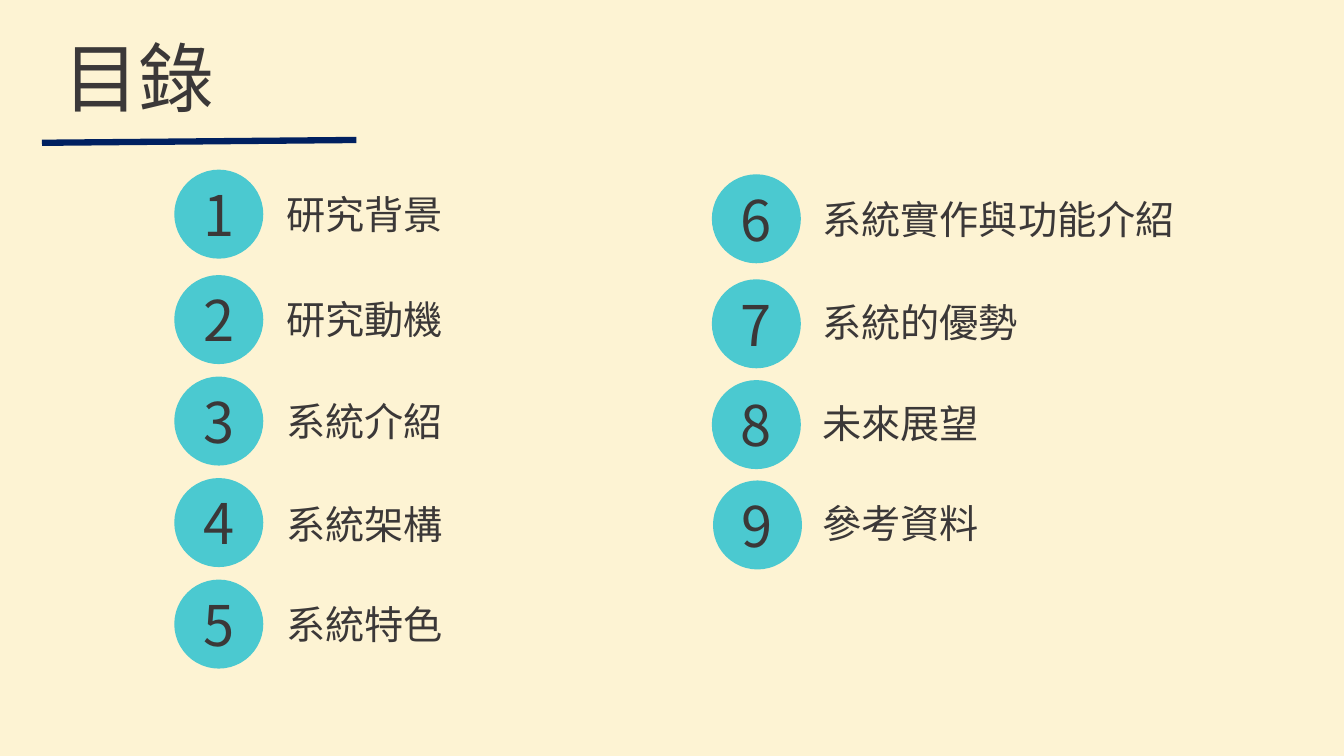
from dataclasses import dataclass

from lxml import etree
from pptx import Presentation
from pptx.dml.color import RGBColor
from pptx.enum.shapes import MSO_CONNECTOR, MSO_SHAPE
from pptx.enum.text import MSO_ANCHOR, MSO_AUTO_SIZE, PP_ALIGN
from pptx.oxml.ns import qn
from pptx.util import Pt

OVAL = MSO_SHAPE.OVAL
STRAIGHT = MSO_CONNECTOR.STRAIGHT
MIDDLE = MSO_ANCHOR.MIDDLE
GROW = MSO_AUTO_SIZE.SHAPE_TO_FIT_TEXT
CENTER = PP_ALIGN.CENTER


@dataclass(frozen=True)
class Theme:
    paper: RGBColor = RGBColor.from_string("FDF3D3")
    ink: RGBColor = RGBColor.from_string("3B3838")
    navy: RGBColor = RGBColor.from_string("002060")
    teal: RGBColor = RGBColor.from_string("4BC9D0")
    text_font: str = "Noto Sans CJK JP"
    digit_font: str = "Noto Sans CJK SC"
    title: int = 54
    label: int = 28
    digit: int = 40


theme = Theme()


def style(frame, size, face):
    """Set size, colour and both Latin and East Asian fonts."""
    for run in frame.paragraphs[0].runs:
        font = run.font
        font.size = Pt(size)
        font.color.rgb = theme.ink
        font.name = face
        etree.SubElement(font._element, qn("a:ea"), typeface=face)


def add_text(left, top, width, height, text, size):
    box = slide.shapes.add_textbox(Pt(left), Pt(top), Pt(width), Pt(height))
    frame = box.text_frame
    frame.word_wrap = True
    frame.auto_size = GROW
    frame.text = text
    style(frame, size, theme.text_font)


deck = Presentation()
deck.slide_width = Pt(960)
deck.slide_height = Pt(540)
slide = deck.slides.add_slide(deck.slide_layouts[6])
slide.background.fill.solid()
slide.background.fill.fore_color.rgb = theme.paper

# Title and its underline
rule = slide.shapes.add_connector(STRAIGHT, Pt(30), Pt(102), Pt(254.5), Pt(100))
rule.line.color.rgb = theme.navy
rule.line.width = Pt(4.5)
etree.SubElement(rule._element.spPr, qn("a:effectLst"))
add_text(38, 18.7, 216, 72.7, "目錄", theme.title)

# Each topic: number, name, badge left, badge top, label top
topics = [
    (1, "研究背景", 125, 121.7, 132.5),
    (2, "研究動機", 125, 197, 207.4),
    (3, "系統介紹", 125, 269.5, 280),
    (4, "系統架構", 125, 342, 354.2),
    (5, "系統特色", 125, 414.5, 425.5),
    (6, "系統實作與功能介紹", 509, 125, 136),
    (7, "系統的優勢", 509, 200, 209.5),
    (8, "未來展望", 509, 272, 282),
    (9, "參考資料", 509.8, 343.7, 352.8),
]
DISC = 62.6
LABEL_X = {"left": 197.3, "right": 580.3}

for number, name, left, top, label_top in topics:
    badge = slide.shapes.add_shape(OVAL, Pt(left), Pt(top), Pt(DISC), Pt(DISC))
    badge.shadow.inherit = False
    badge.fill.solid()
    badge.fill.fore_color.rgb = theme.teal
    badge.line.color.rgb = theme.teal
    badge.line.width = Pt(1)
    frame = badge.text_frame
    frame.text = str(number)
    frame.vertical_anchor = MIDDLE
    frame.paragraphs[0].alignment = CENTER
    style(frame, theme.digit, theme.digit_font)

    side = "left" if number <= 5 else "right"
    add_text(LABEL_X[side], label_top, 312, 41, name, theme.label)

deck.save("out.pptx")
